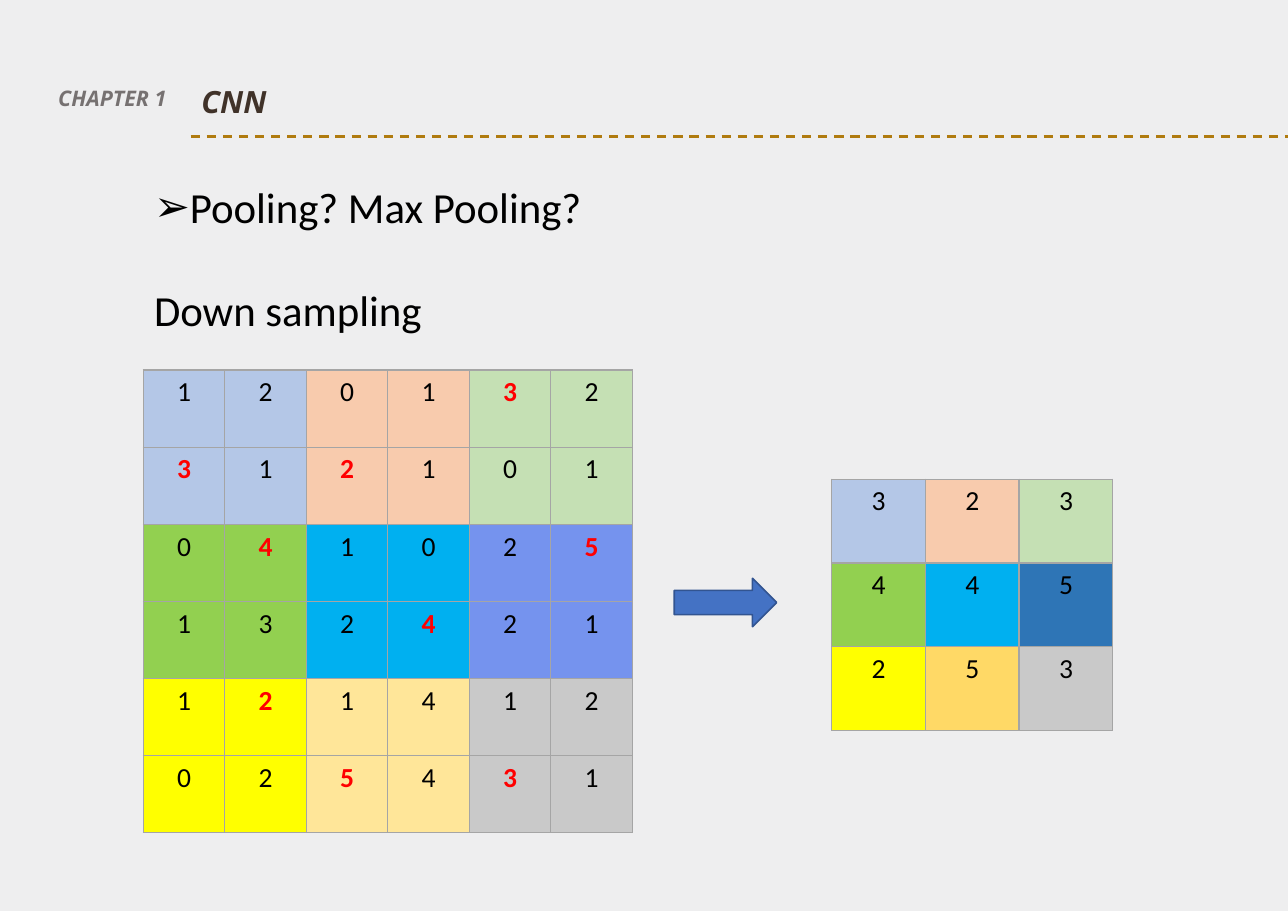
from dataclasses import dataclass

from lxml import etree
from pptx import Presentation
from pptx.dml.color import RGBColor
from pptx.enum.dml import MSO_LINE
from pptx.enum.shapes import MSO_CONNECTOR, MSO_SHAPE
from pptx.enum.text import MSO_AUTO_SIZE, PP_ALIGN
from pptx.oxml.ns import qn
from pptx.util import Inches, Pt

STRAIGHT = MSO_CONNECTOR.STRAIGHT
RIGHT_ARROW = MSO_SHAPE.RIGHT_ARROW
DASH = MSO_LINE.DASH
CENTER = PP_ALIGN.CENTER
FIT_SHAPE = MSO_AUTO_SIZE.SHAPE_TO_FIT_TEXT

COLORS = {
    "background": "EEEEEF", "chapter": "767171", "title": "403229",
    "rule": "B07B0F", "text": "000000", "maximum": "FF0000",
    "border": "A5A5A5", "arrow": "4472C4", "arrow_line": "325491",
    "pale_blue": "B4C7E7", "peach": "F8CBAD", "pale_green": "C5E0B4",
    "green": "92D050", "cyan": "00B0F0", "periwinkle": "7593EE",
    "blue": "2E75B6", "yellow": "FFFF00", "cream": "FFE699",
    "gold": "FFD966", "gray": "C9C9C9",
}
POOL_SIZE = 2


@dataclass
class Heading:
    text: str
    left: float
    top: float
    width: float
    height: float
    size: int
    color: str


@dataclass
class Grid:
    left: float
    top: float
    column_width: float
    row_height: float
    values: list[list[int]]
    fills: list[list[str]]
    block: int
    highlights: set[tuple[int, int]]


HEADINGS = [
    Heading("CHAPTER 1", 0.43, 0.61, 1.19, 0.42, 14, "chapter"),
    Heading("CNN", 1.73, 0.54, 0.8, 0.55, 20, "title"),
]
INPUT_VALUES = [
    [1, 2, 0, 1, 3, 2],
    [3, 1, 2, 1, 0, 1],
    [0, 4, 1, 0, 2, 5],
    [1, 3, 2, 4, 2, 1],
    [1, 2, 1, 4, 1, 2],
    [0, 2, 5, 4, 3, 1],
]
INPUT_FILLS = [
    ["pale_blue", "peach", "pale_green"],
    ["green", "cyan", "periwinkle"],
    ["yellow", "cream", "gray"],
]
POOLED_FILLS = [
    ["pale_blue", "peach", "pale_green"],
    ["green", "cyan", "blue"],
    ["yellow", "gold", "gray"],
]


def rgb(name: str) -> RGBColor:
    return RGBColor.from_string(COLORS[name])


def find_maximum(values: list[list[int]], top: int, left: int) -> tuple[int, int]:
    cells = [(top + row, left + column)
             for row in range(POOL_SIZE) for column in range(POOL_SIZE)]
    return max(cells, key=lambda cell: values[cell[0]][cell[1]])


def format_runs(paragraph, font: str, size: int, color: str, bold: bool = False,
                italic: bool = False) -> None:
    for run in paragraph.runs:
        run.font.name = font
        run.font.size = Pt(size)
        run.font.color.rgb = rgb(color)
        run.font.bold = bold
        run.font.italic = italic


def add_heading(slide, heading: Heading) -> None:
    shape = slide.shapes.add_textbox(Inches(heading.left), Inches(heading.top),
                                     Inches(heading.width), Inches(heading.height))
    shape.text_frame.word_wrap = False
    shape.text_frame.auto_size = FIT_SHAPE
    shape.text_frame.text = heading.text
    paragraph = shape.text_frame.paragraphs[0]
    paragraph.line_spacing = 1.5
    format_runs(paragraph, "Noto Sans", heading.size, heading.color, True, True)


def add_rule(slide) -> None:
    connector = slide.shapes.add_connector(STRAIGHT, Inches(1.73), Inches(1.24),
                                           Inches(11.69), Inches(1.24))
    connector.line.color.rgb = rgb("rule")
    connector.line.width = Pt(1.5)
    connector.line.dash_style = DASH
    etree.SubElement(connector._element.spPr, qn("a:effectLst"))


def add_topics(slide) -> None:
    shape = slide.shapes.add_textbox(Inches(1.3), Inches(1.59), Inches(8.94), Inches(1.51))
    shape.text_frame.word_wrap = True
    shape.text_frame.auto_size = FIT_SHAPE
    shape.text_frame.text = "Pooling? Max Pooling?\nDown sampling"
    question, answer = shape.text_frame.paragraphs
    answer.space_before = Pt(34)
    properties = question._p.get_or_add_pPr()
    properties.set("marL", str(Inches(0.31)))
    properties.set("indent", str(-Inches(0.31)))
    etree.SubElement(properties, qn("a:buFont"), typeface="Wingdings 2")
    properties[-1].set("typeface", "Arial")
    etree.SubElement(properties, qn("a:buChar"), char="➢")
    for paragraph in (question, answer):
        format_runs(paragraph, "Calibri", 28, "text")


def add_borders(cell) -> None:
    properties = cell._tc.get_or_add_tcPr()
    for side in ("a:lnL", "a:lnR", "a:lnT", "a:lnB"):
        line = etree.SubElement(properties, qn(side), w=str(Pt(1)))
        fill = etree.SubElement(line, qn("a:solidFill"))
        etree.SubElement(fill, qn("a:srgbClr"), val=COLORS["border"])


def add_grid(slide, grid: Grid) -> None:
    rows, columns = len(grid.values), len(grid.values[0])
    table = slide.shapes.add_table(
        rows, columns, Inches(grid.left), Inches(grid.top),
        Inches(grid.column_width * columns), Inches(grid.row_height * rows)).table
    table.first_row = False
    table.horz_banding = False
    for column in table.columns:
        column.width = Inches(grid.column_width)
    for row_index, row in enumerate(table.rows):
        row.height = Inches(grid.row_height)
        for column_index, cell in enumerate(row.cells):
            add_borders(cell)
            cell.fill.solid()
            cell.fill.fore_color.rgb = rgb(
                grid.fills[row_index // grid.block][column_index // grid.block])
            cell.text_frame.text = str(grid.values[row_index][column_index])
            paragraph = cell.text_frame.paragraphs[0]
            paragraph.alignment = CENTER
            highlighted = (row_index, column_index) in grid.highlights
            format_runs(paragraph, "Calibri", 18,
                        "maximum" if highlighted else "text", highlighted)


def add_arrow(slide) -> None:
    shape = slide.shapes.add_shape(RIGHT_ARROW, Inches(6.12), Inches(5.25),
                                   Inches(0.93), Inches(0.44))
    shape.shadow.inherit = False
    shape.fill.solid()
    shape.fill.fore_color.rgb = rgb("arrow")
    shape.line.color.rgb = rgb("arrow_line")
    shape.line.width = Pt(1)


def main() -> None:
    presentation = Presentation()
    presentation.slide_width = Inches(11.69)
    presentation.slide_height = Inches(8.27)
    slide = presentation.slides.add_slide(presentation.slide_layouts[6])
    slide.background.fill.solid()
    slide.background.fill.fore_color.rgb = rgb("background")

    for heading in HEADINGS:
        add_heading(slide, heading)
    add_rule(slide)
    starts = range(0, len(INPUT_VALUES), POOL_SIZE)
    maxima = [[find_maximum(INPUT_VALUES, top, left) for left in starts] for top in starts]
    pooled = [[INPUT_VALUES[row][column] for row, column in line] for line in maxima]
    highlights = {cell for line in maxima for cell in line}
    add_grid(slide, Grid(7.55, 4.35, 0.85, 0.76, pooled, POOLED_FILLS, 1, set()))
    add_grid(slide, Grid(1.3, 3.36, 0.74, 0.7, INPUT_VALUES, INPUT_FILLS,
                         POOL_SIZE, highlights))
    add_topics(slide)
    add_arrow(slide)
    presentation.save("out.pptx")


if __name__ == "__main__":
    main()
